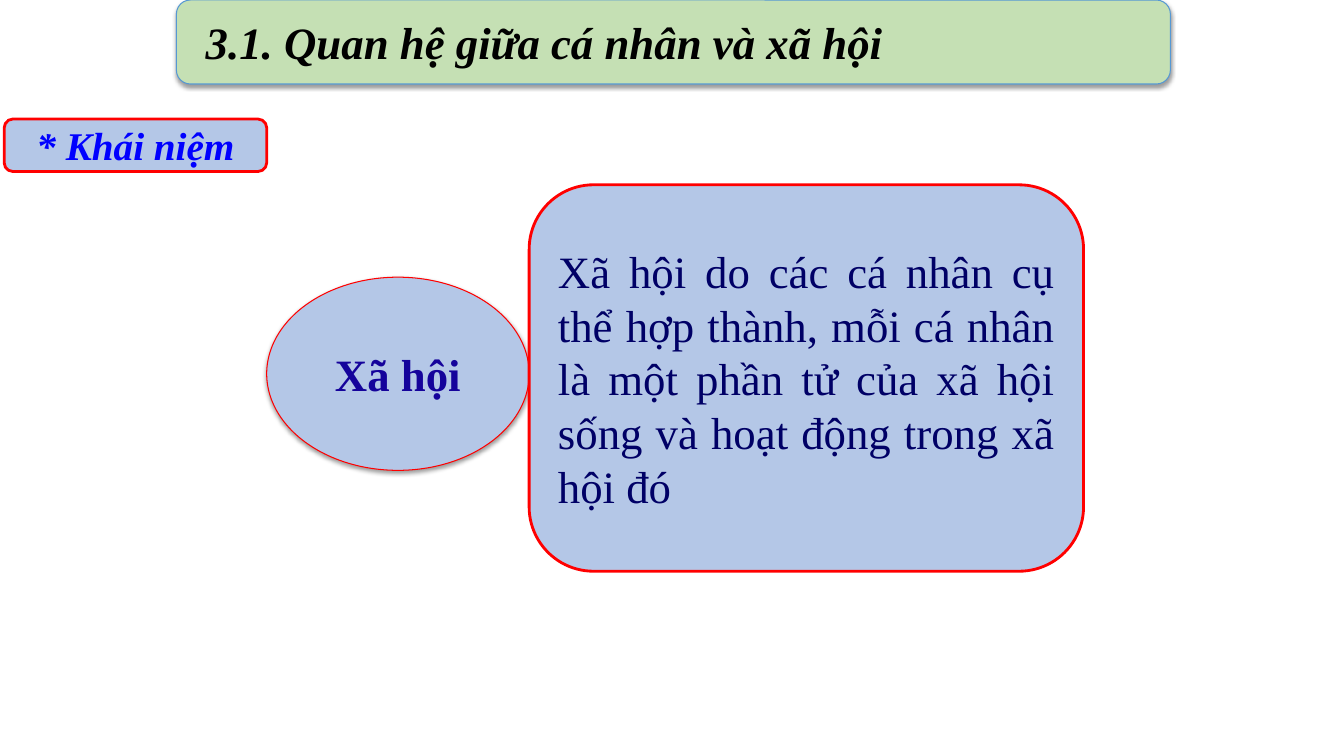
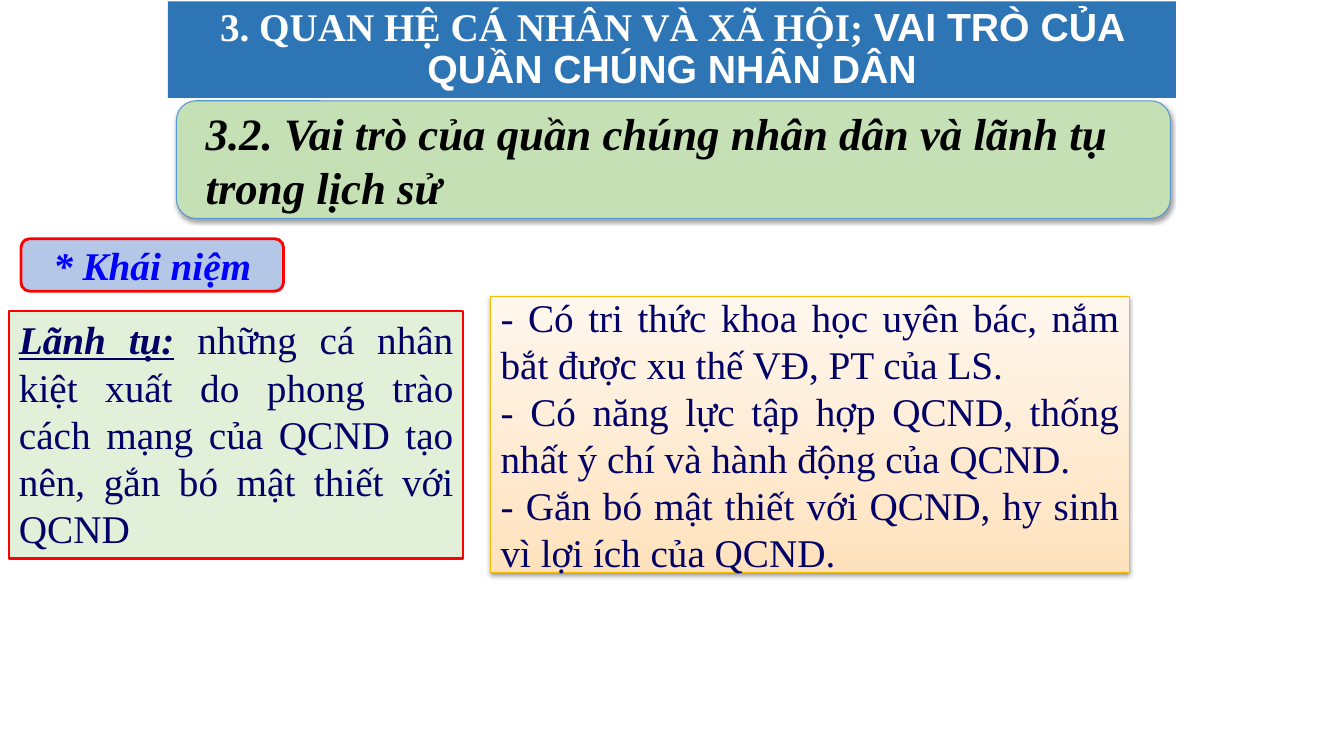
from dataclasses import dataclass

from lxml import etree
from pptx import Presentation
from pptx.dml.color import RGBColor
from pptx.enum import shapes, text
from pptx.oxml import ns
from pptx.util import Pt


@dataclass(frozen=True)
class Theme:
    serif: str = "Times New Roman"
    sans: str = "Arial"
    large: int = 32
    medium: int = 28
    white: str = "FFFFFF"
    black: str = "000000"
    red: str = "FF0000"
    chapter: str = "2E75B6"
    band: str = "C5E0B4"
    band_edge: str = "5698D3"
    panel: str = "B4C7E7"
    leader: str = "E2F0D9"
    trait_edge: str = "F9BC00"
    trait_low: str = "FFE2BD"
    trait_high: str = "FFF7EE"
    navy: str = "000066"
    violet: str = "15039B"
    blue: str = "0000FF"


T = Theme()
KIND = shapes.MSO_SHAPE
ALIGN = text.PP_ALIGN
ANCHOR = text.MSO_ANCHOR

CONCEPT = "* Khái niệm"
SOCIETY = {
    "heading": "3.1. Quan hệ giữa cá nhân và xã hội",
    "term": "Xã hội",
    "meaning": "Xã hội do các cá nhân cụ thể hợp thành, mỗi cá nhân là một phần tử "
               "của xã hội sống và hoạt động trong xã hội đó",
}
LEADERS = {
    "chapter": [("3. QUAN HỆ CÁ NHÂN VÀ XÃ HỘI;", {}),
                (" VAI TRÒ CỦA QUẦN CHÚNG NHÂN DÂN", {"font": T.sans})],
    "heading": "3.2. Vai trò của quần chúng nhân dân và lãnh tụ trong lịch sử",
    "meaning": [("Lãnh tụ:", {"bold": True, "italic": True, "underline": True}),
                (" những cá nhân kiệt xuất do phong trào cách mạng của QCND "
                 "tạo nên, gắn bó mật thiết với QCND", {})],
    "traits": [
        "- Có tri thức khoa học uyên bác, nắm bắt được xu thế VĐ, PT của LS.",
        "- Có năng lực tập hợp QCND, thống nhất ý chí và hành động của QCND.",
        "- Gắn bó mật thiết với QCND, hy sinh vì lợi ích của QCND.",
    ],
}


def rgb(code):
    return RGBColor.from_string(code)


def place(shape, box):
    shape.left, shape.top, shape.width, shape.height = map(Pt, box)


def write(shape, paragraphs, align=ALIGN.LEFT, anchor=ANCHOR.MIDDLE,
          margins=(7.2, 3.6), spacing=1.0, **base):
    frame = shape.text_frame
    frame.word_wrap = True
    frame.auto_size = text.MSO_AUTO_SIZE.NONE
    frame.vertical_anchor = anchor
    frame.margin_left = frame.margin_right = Pt(margins[0])
    frame.margin_top = frame.margin_bottom = Pt(margins[1])
    for index, content in enumerate(paragraphs):
        paragraph = frame.add_paragraph() if index else frame.paragraphs[0]
        paragraph.alignment = align
        paragraph.line_spacing = spacing
        runs = [(content, {})] if isinstance(content, str) else content
        for words, changes in runs:
            look = {"font": T.serif, "size": T.medium, "color": T.navy,
                    "bold": False, "italic": False, "underline": False,
                    **base, **changes}
            run = paragraph.add_run()
            run.text = words
            run.font.name = look["font"]
            run.font.size = Pt(look["size"])
            run.font.color.rgb = rgb(look["color"])
            run.font.bold = look["bold"]
            run.font.italic = look["italic"]
            run.font.underline = look["underline"]


def add_shadow(shape):
    effects = shape._element.spPr.find(ns.qn("a:effectLst"))
    shadow = etree.SubElement(effects, ns.qn("a:outerShdw"), blurRad=str(Pt(3.1)),
                              dist=str(Pt(1.6)), dir="5400000", rotWithShape="0")
    color = etree.SubElement(shadow, ns.qn("a:srgbClr"), val=T.black)
    etree.SubElement(color, ns.qn("a:alpha"), val="38000")


def panel(slide, kind, box, fill=T.panel, edge=T.red, weight=2, shadow=False):
    shape = slide.shapes.add_shape(kind, *map(Pt, box))
    shape.shadow.inherit = False
    if isinstance(fill, tuple):
        shape.fill.gradient()
        shape.fill.gradient_angle = 90
        for stop, color in zip(shape.fill.gradient_stops, fill):
            stop.color.rgb = rgb(color)
    else:
        shape.fill.solid()
        shape.fill.fore_color.rgb = rgb(fill)
    shape.line.color.rgb = rgb(edge)
    shape.line.width = Pt(weight)
    if shadow:
        add_shadow(shape)
    return shape


def heading(slide, words, top, height, is_title=False):
    left, width, inset = 126, 710, 4.3
    panel(slide, KIND.ROUNDED_RECTANGLE, (left, top, width, height),
          T.band, T.band_edge, 0.75, shadow=True)
    if is_title:
        label = slide.shapes.title
        slide.shapes._spTree.append(label._element)
    else:
        label = slide.shapes.add_textbox(0, 0, 0, 0)
    place(label, (left + inset, top, width - 2 * inset, height))
    write(label, [words], margins=(16.6, 0), size=T.large, color=T.black,
          bold=True, italic=True)


def concept_tag(slide, left, top):
    tag = panel(slide, KIND.ROUNDED_RECTANGLE, (left, top, 187.5, 37.5))
    write(tag, [CONCEPT], align=ALIGN.CENTER, color=T.blue, bold=True, italic=True)


def society_slide(slide):
    heading(slide, SOCIETY["heading"], 0, 60, is_title=True)
    term = panel(slide, KIND.OVAL, (190.5, 198, 187.5, 138), weight=0.75, shadow=True)
    write(term, [SOCIETY["term"]], align=ALIGN.CENTER, size=T.large,
          color=T.violet, bold=True)
    meaning = panel(slide, KIND.ROUNDED_RECTANGLE, (378, 132, 396, 276))
    write(meaning, [SOCIETY["meaning"]], align=ALIGN.JUSTIFY, size=T.large)
    concept_tag(slide, 3, 85)


def leaders_slide(slide):
    chapter = slide.shapes.title
    place(chapter, (120, 1, 720, 69))
    chapter.fill.solid()
    chapter.fill.fore_color.rgb = rgb(T.chapter)
    write(chapter, [LEADERS["chapter"]], align=ALIGN.CENTER, spacing=0.9,
          color=T.white, bold=True)
    heading(slide, LEADERS["heading"], 72, 84)
    meaning = panel(slide, KIND.RECTANGLE, (6.5, 222, 324.5, 177), T.leader, weight=1.5)
    write(meaning, [LEADERS["meaning"]], align=ALIGN.JUSTIFY, anchor=ANCHOR.TOP)
    concept_tag(slide, 15, 170.5)
    traits = panel(slide, KIND.RECTANGLE, (350.5, 211.5, 456, 197.5),
                   (T.trait_low, T.trait_high), T.trait_edge, 0.75, shadow=True)
    write(traits, LEADERS["traits"], align=ALIGN.JUSTIFY)


def main():
    deck = Presentation()
    deck.slide_width, deck.slide_height = Pt(960), Pt(540)
    title_only = deck.slide_layouts[5]
    for build in (society_slide, leaders_slide):
        build(deck.slides.add_slide(title_only))
    deck.save("out.pptx")


if __name__ == "__main__":
    main()
